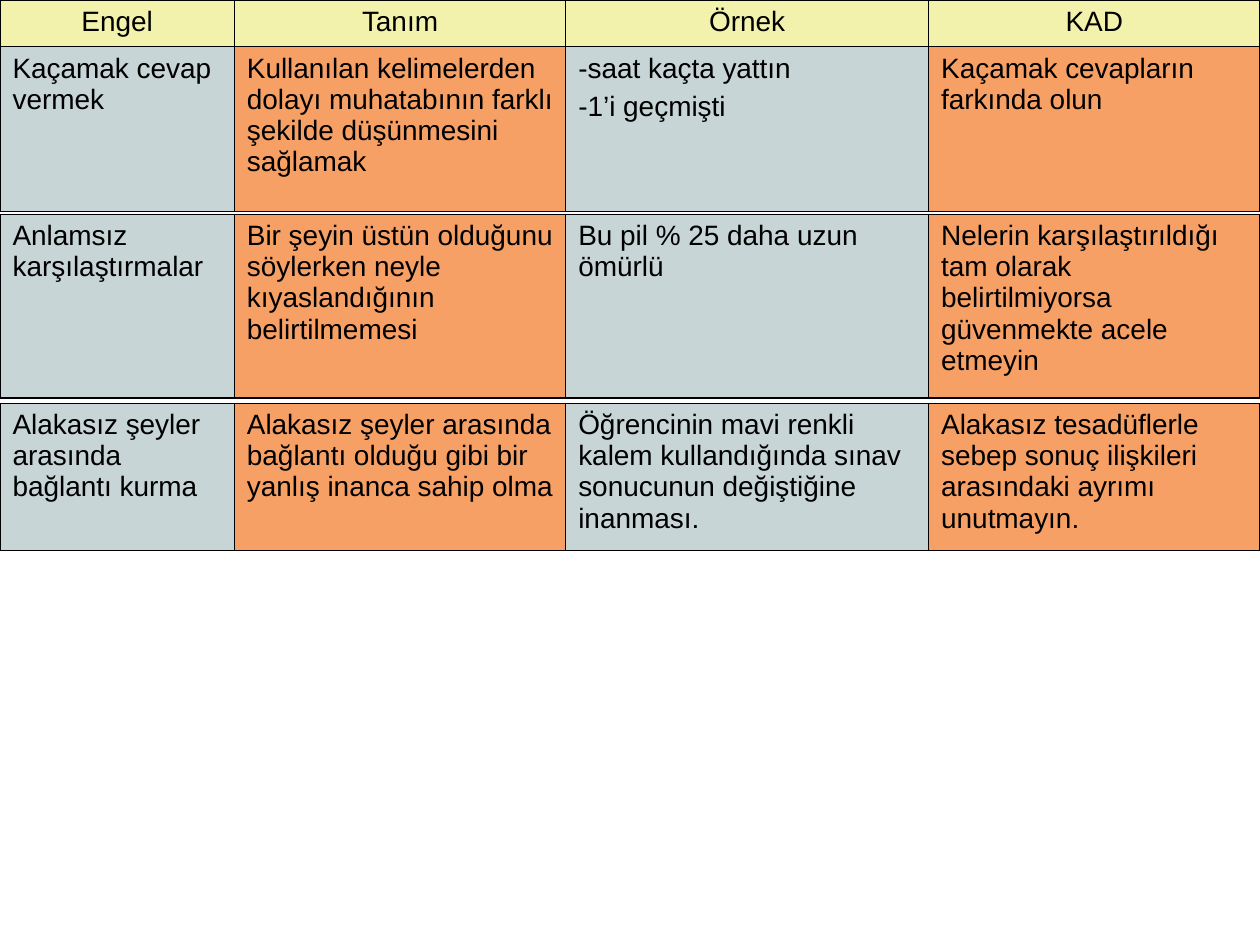
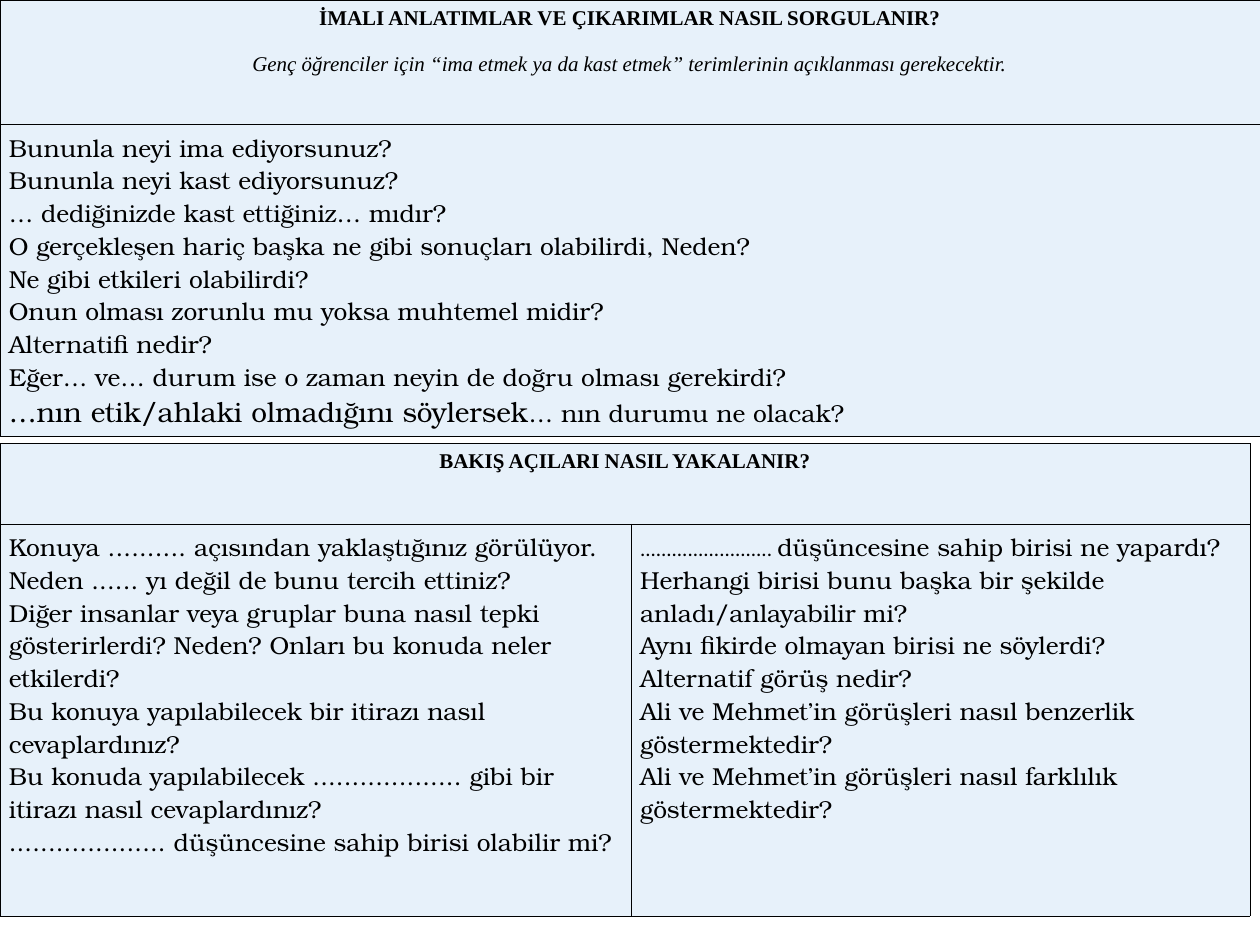
from lxml import etree
from pptx import Presentation
from pptx.dml.color import RGBColor
from pptx.enum.text import PP_ALIGN
from pptx.oxml.ns import qn
from pptx.util import Inches, Pt

CENTER, LEFT = PP_ALIGN.CENTER, PP_ALIGN.LEFT
COLORS = {
    "line": "000000",
    "text": "000000",
    "header": "F2F2AC",
    "gray": "C7D5D7",
    "orange": "F7A065",
    "pale": "E7F1FA",
}
THIN, THICK = 0.45, 1.08
SANS, SERIF, BOOK, DOTS = "Arial", "Times New Roman", "TeX Gyre Bonum", "Calibri"


def add_grid(slide, left, top, widths, heights):
    grid = slide.shapes.add_table(
        len(heights), len(widths), Inches(left), Inches(top),
        Inches(sum(widths)), Inches(sum(heights))).table
    grid.first_row = grid.horz_banding = False
    for column, width in zip(grid.columns, widths):
        column.width = Inches(width)
    for row, height in zip(grid.rows, heights):
        row.height = Inches(height)
    return grid


def style_cell(cell, lines, fill, size, face, align=LEFT, inset=0.07, gap=0,
               borders=(THIN, THIN, THIN, THIN)):
    cell.margin_left = cell.margin_right = Inches(inset)
    cell.margin_top = cell.margin_bottom = Inches(0.05)
    properties = cell._tc.get_or_add_tcPr()
    for side, width in zip("LRTB", borders):
        line = etree.SubElement(properties, qn(f"a:ln{side}"), w=str(int(Pt(width))))
        paint = etree.SubElement(line, qn("a:solidFill"))
        etree.SubElement(paint, qn("a:srgbClr"), val=COLORS["line"])
    cell.fill.solid()
    cell.fill.fore_color.rgb = RGBColor.from_string(COLORS[fill])
    for index, line in enumerate(lines):
        frame = cell.text_frame
        paragraph = frame.add_paragraph() if index else frame.paragraphs[0]
        paragraph.alignment = align
        if index and gap:
            paragraph.space_before = Pt(gap)
        paragraph.font.size = Pt(size)
        paragraph.font.name = face
        paragraph.font.color.rgb = RGBColor.from_string(COLORS["text"])
        if isinstance(line, str):
            paragraph.add_run().text = line
            continue
        for text, run_size, run_face in line:
            run = paragraph.add_run()
            run.text = text
            run.font.size = Pt(run_size)
            run.font.name = run_face


prs = Presentation()
prs.slide_width, prs.slide_height = Inches(10), Inches(7.5)
blank = prs.slide_layouts[6]

obstacles = prs.slides.add_slide(blank)
obstacle_widths = [1.86, 2.63, 2.88, 2.63]
headings = [["Engel"], ["Tanım"], ["Örnek"], ["KAD"]]
evasion = [
    ["Kaçamak cevap vermek"],
    ["Kullanılan kelimelerden dolayı muhatabının farklı şekilde düşünmesini sağlamak"],
    ["-saat kaçta yattın", "-1’i geçmişti"],
    ["Kaçamak cevapların farkında olun"],
]
comparison = [
    ["Anlamsız karşılaştırmalar"],
    ["Bir şeyin üstün olduğunu söylerken neyle kıyaslandığının belirtilmemesi"],
    ["Bu pil % 25 daha uzun ömürlü"],
    ["Nelerin karşılaştırıldığı tam olarak belirtilmiyorsa güvenmekte acele etmeyin"],
]
false_link = [
    ["Alakasız şeyler arasında bağlantı kurma"],
    ["Alakasız şeyler arasında bağlantı olduğu gibi bir yanlış inanca sahip olma"],
    ["Öğrencinin mavi renkli kalem kullandığında sınav sonucunun değiştiğine inanması."],
    ["Alakasız tesadüflerle sebep sonuç ilişkileri arasındaki ayrımı unutmayın."],
]
obstacle_tables = [
    (0, [0.37, 1.31], [headings, evasion]),
    (1.7, [1.46], [comparison]),
    (3.2, [1.17], [false_link]),
]
for top, heights, rows in obstacle_tables:
    grid = add_grid(obstacles, 0, top, obstacle_widths, heights)
    for r, row in enumerate(rows):
        is_heading = row is headings
        for c, lines in enumerate(row):
            style_cell(
                grid.cell(r, c), lines,
                "header" if is_heading else ("gray", "orange")[c % 2],
                16, SANS, CENTER if is_heading else LEFT, inset=0.1, gap=4,
                borders=(THICK if c == 0 else THIN,
                         THICK if c == len(row) - 1 else THIN,
                         THICK if is_heading else THIN,
                         THIN if is_heading else THICK))

questions = prs.slides.add_slide(blank)
implications = add_grid(questions, 0, 0, [10], [0.99, 2.22])
implication_title = implications.cell(0, 0)
style_cell(implication_title, [
    "İMALI ANLATIMLAR VE ÇIKARIMLAR NASIL SORGULANIR?",
    "Genç öğrenciler için “ima etmek ya da kast etmek” terimlerinin açıklanması gerekecektir.",
], "pale", 12, SERIF, CENTER, gap=13)
heading, remark = implication_title.text_frame.paragraphs
heading.font.bold = True
remark.font.italic = True
style_cell(implications.cell(1, 0), [
    "Bununla neyi ima ediyorsunuz?",
    "Bununla neyi kast ediyorsunuz?",
    "… dediğinizde kast ettiğiniz… mıdır?",
    "O gerçekleşen hariç başka ne gibi sonuçları olabilirdi, Neden?",
    "Ne gibi etkileri olabilirdi?",
    "Onun olması zorunlu mu yoksa muhtemel midir?",
    "Alternatifi nedir?",
    "Eğer… ve… durum ise o zaman neyin de doğru olması gerekirdi?",
    [("…nın etik/ahlaki olmadığını söylersek", 16, BOOK),
     ("… nın durumu ne olacak?", 14, BOOK)],
], "pale", 14, BOOK)

viewpoints = add_grid(questions, 0, 3.52, [5.01, 4.91], [0.64, 3.11])
viewpoint_title = viewpoints.cell(0, 0)
viewpoint_title.merge(viewpoints.cell(0, 1))
style_cell(viewpoint_title, ["BAKIŞ AÇILARI NASIL YAKALANIR?"], "pale", 12, SERIF, CENTER)
viewpoint_title.text_frame.paragraphs[0].font.bold = True
style_cell(viewpoints.cell(0, 1), [], "pale", 12, SERIF)
viewpoint_questions = [
    [
        "Konuya .......... açısından yaklaştığınız görülüyor. Neden ...... yı değil de bunu tercih ettiniz?",
        "Diğer insanlar veya gruplar buna nasıl tepki gösterirlerdi? Neden? Onları bu konuda neler etkilerdi?",
        "Bu konuya yapılabilecek bir itirazı nasıl cevaplardınız?",
        "Bu konuda yapılabilecek ................... gibi bir itirazı nasıl cevaplardınız?",
        ".................... düşüncesine sahip birisi olabilir mi?",
    ],
    [
        [("......................... ", 12, DOTS),
         ("düşüncesine sahip birisi ne yapardı? Herhangi birisi bunu başka bir şekilde "
          "anladı/anlayabilir mi?", 14, BOOK)],
        "Aynı fikirde olmayan birisi ne söylerdi?",
        "Alternatif görüş nedir?",
        "Ali ve Mehmet’in görüşleri nasıl benzerlik göstermektedir?",
        "Ali ve Mehmet’in görüşleri nasıl farklılık göstermektedir?",
    ],
]
for c, lines in enumerate(viewpoint_questions):
    style_cell(viewpoints.cell(1, c), lines, "pale", 14, BOOK)

prs.save("out.pptx")
